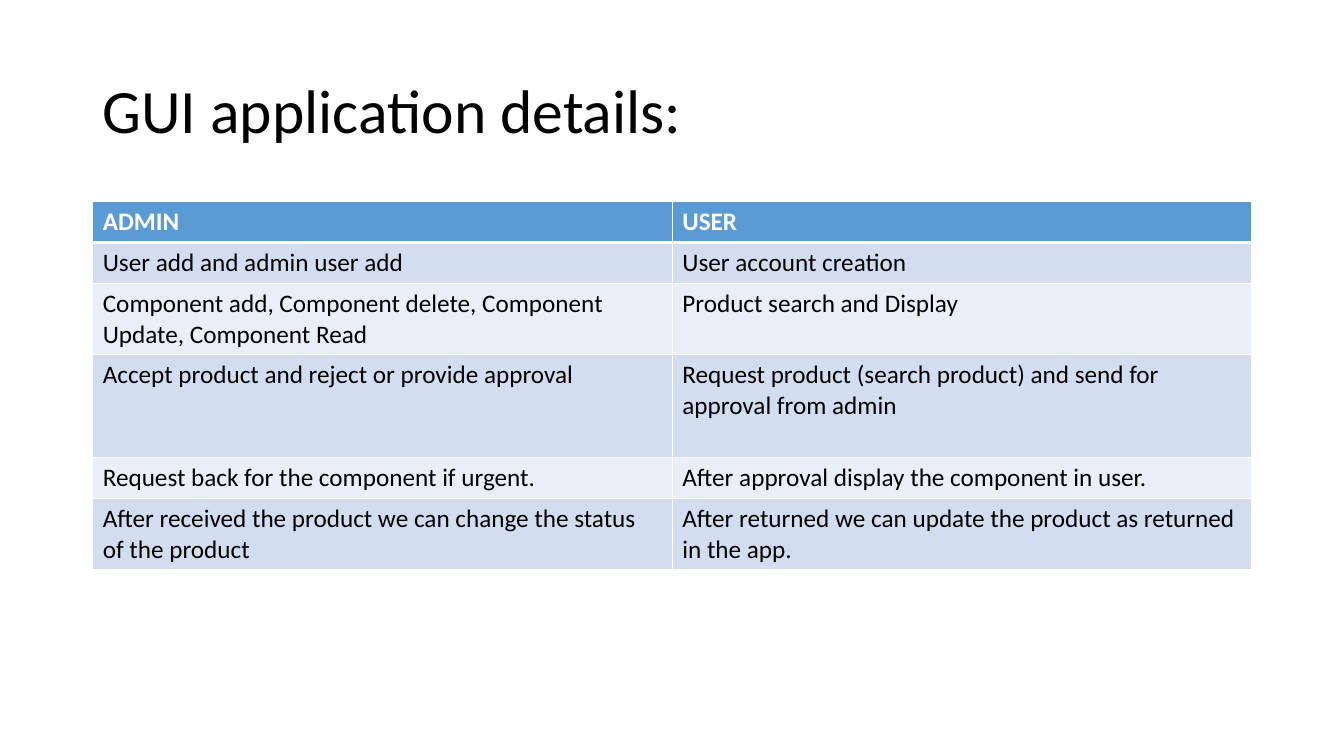
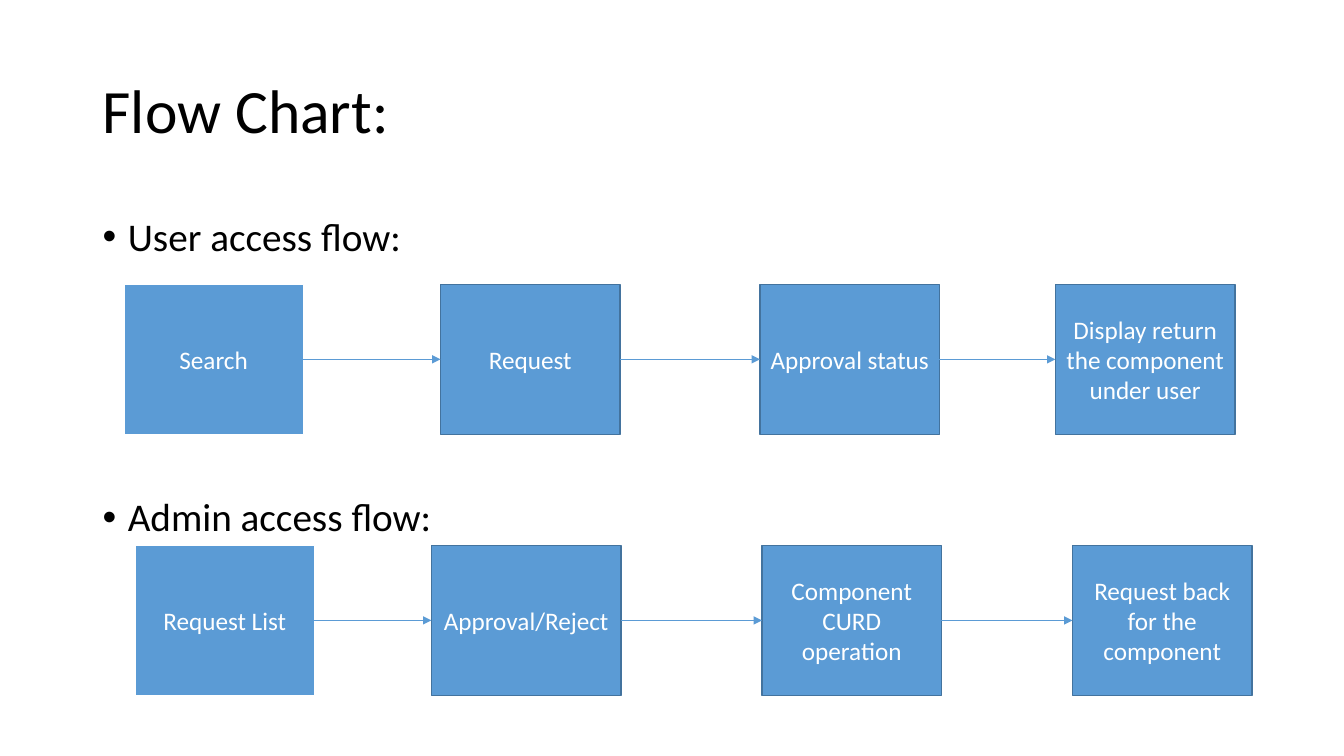
from lxml.etree import SubElement
from pptx import Presentation
from pptx.dml.color import RGBColor
from pptx.enum.shapes import MSO_CONNECTOR as Connector, MSO_SHAPE as Preset
from pptx.enum.text import MSO_ANCHOR as Anchor, PP_ALIGN as Align
from pptx.oxml.ns import qn
from pptx.util import Inches, Pt

COLORS = {
    "text": "000000",
    "white": "FFFFFF",
    "blue": "5B9BD5",
    "outline": "43739E",
    "band_dark": "D2DEEF",
    "band_light": "EAEFF7",
}
FONT = "Calibri"

# Positions are on a grid of 100 columns by 100 rows.
LEFT, WIDTH = 6.9, 86.25
BOX_WIDTH, BOX_HEIGHT = 13.35, 19.87


def rgb(name):
    """Return the named colour."""
    return RGBColor.from_string(COLORS[name])


def write(paragraph, text, size=18, color="text", bold=False,
          align=Align.LEFT, line_spacing=None, before=None):
    """Put formatted text into a paragraph."""
    run = paragraph.add_run()
    run.text = text
    run.font.name = FONT
    run.font.size = Pt(size)
    run.font.bold = bold
    run.font.color.rgb = rgb(color)
    paragraph.alignment = align
    if line_spacing is not None:
        paragraph.line_spacing = line_spacing
    if before is not None:
        paragraph.space_before = Pt(before)


def add_bullet(paragraph, indent=0.25):
    """Give a paragraph a round bullet with a hanging indent."""
    properties = paragraph._p.get_or_add_pPr()
    properties.set("marL", str(Inches(indent)))
    properties.set("indent", str(-Inches(indent)))
    SubElement(properties, qn("a:buFont"), typeface="Arial")
    SubElement(properties, qn("a:buChar"), char="\u2022")


def add_borders(cell_properties, widths):
    """Draw white cell borders; widths are for left, right, top, bottom."""
    for index, (side, width) in enumerate(zip("LRTB", widths)):
        line = SubElement(cell_properties, qn(f"a:ln{side}"), w=str(Pt(width)))
        fill = SubElement(line, qn("a:solidFill"))
        SubElement(fill, qn("a:srgbClr"), val=COLORS["white"])
        cell_properties.insert(index, line)


class Deck:
    """Holds the presentation, its grid and the current slide."""

    def __init__(self):
        """Start an empty wide presentation."""
        self.presentation = Presentation()
        self.presentation.slide_width = Inches(13.333)
        self.presentation.slide_height = Inches(7.5)
        self.slide = None

    def columns(self, count):
        """Convert grid columns to a length."""
        return round(self.presentation.slide_width * count / 100)

    def rows(self, count):
        """Convert grid rows to a length."""
        return round(self.presentation.slide_height * count / 100)

    def area(self, left, top, width, height):
        """Convert a grid rectangle to lengths."""
        return (self.columns(left), self.rows(top),
                self.columns(width), self.rows(height))

    def add_slide(self, title):
        """Add a blank slide with the shared title style."""
        layout = self.presentation.slide_layouts[6]
        self.slide = self.presentation.slides.add_slide(layout)
        frame = self.text_frame(LEFT, 5.33, WIDTH, 19.33)
        frame.vertical_anchor = Anchor.MIDDLE
        write(frame.paragraphs[0], title, size=44, line_spacing=0.9)

    def text_frame(self, *grid_area):
        """Add a wrapping text box and return its text frame."""
        box = self.slide.shapes.add_textbox(*self.area(*grid_area))
        box.text_frame.word_wrap = True
        return box.text_frame

    def bullets(self, items, top, height, gap):
        """Add bulleted headings, with a gap in points between them."""
        frame = self.text_frame(LEFT, top, WIDTH, height)
        for index, item in enumerate(items):
            paragraph = frame.add_paragraph() if index else frame.paragraphs[0]
            write(paragraph, item, size=28, line_spacing=0.9,
                  before=gap if index else 10)
            add_bullet(paragraph)

    def table(self, records, top, heights):
        """Add a banded table whose first record is the header."""
        frame = self.slide.shapes.add_table(
            len(records), len(records[0]),
            *self.area(LEFT, top, WIDTH, sum(heights)))
        table = frame.table
        for index, (record, height) in enumerate(zip(records, heights)):
            table.rows[index].height = self.rows(height)
            header = index == 0
            band = "band_dark" if index % 2 else "band_light"
            for cell, text in zip(table.rows[index].cells, record):
                cell.fill.solid()
                cell.fill.fore_color.rgb = rgb("blue" if header else band)
                write(cell.text_frame.paragraphs[0], text, bold=header,
                      color="white" if header else "text")
        for index, properties in enumerate(frame.element.iter(qn("a:tcPr"))):
            row = index // len(records[0])
            add_borders(properties, (1, 1, 3 if row == 1 else 1,
                                     3 if row == 0 else 1))

    def box(self, text, left, top, width=BOX_WIDTH, outline="outline"):
        """Add one step of a flow."""
        shape = self.slide.shapes.add_shape(
            Preset.RECTANGLE, *self.area(left, top, width, BOX_HEIGHT))
        shape.shadow.inherit = False
        shape.fill.solid()
        shape.fill.fore_color.rgb = rgb("blue")
        shape.line.color.rgb = rgb(outline)
        shape.line.width = Pt(1)
        shape.text_frame.word_wrap = True
        shape.text_frame.vertical_anchor = Anchor.MIDDLE
        write(shape.text_frame.paragraphs[0], text, color="white",
              align=Align.CENTER)
        return shape

    def arrow(self, start, end):
        """Join the right side of one box to the left side of the next."""
        connector = self.slide.shapes.add_connector(
            Connector.STRAIGHT, 0, 0, 0, 0)
        connector.begin_connect(start, 3)
        connector.end_connect(end, 1)
        connector.line.color.rgb = rgb("blue")
        connector.line.width = Pt(0.5)
        properties = connector.element.spPr
        SubElement(properties.find(qn("a:ln")), qn("a:tailEnd"),
                   type="triangle")
        SubElement(properties, qn("a:effectLst"))

    def flow(self, top, steps):
        """Add a row of boxes joined by arrows; the first has a white edge."""
        boxes = [
            self.box(*step[:2], top, *step[2:],
                     outline="outline" if index else "white")
            for index, step in enumerate(steps)
        ]
        for start, end in zip(boxes, boxes[1:]):
            self.arrow(start, end)


def build_details(deck):
    """Build the table of admin and user features."""
    deck.add_slide("GUI application details:")
    one_line, two_lines, three_lines = 5.4, 9.47, 13.6
    deck.table(
        [
            ("ADMIN", "USER"),
            ("User add and admin user add", "User account creation"),
            ("Component add, Component delete, Component Update, "
             "Component Read", "Product search and Display"),
            ("Accept product and reject or provide approval",
             "Request product (search product) and send for approval "
             "from admin"),
            ("Request back for the component if urgent.",
             "After approval display the component in user."),
            ("After received the product we can change the status of "
             "the product",
             "After returned we can update the product as returned in "
             "the app."),
        ],
        top=26.67,
        heights=(one_line, one_line, two_lines, three_lines, one_line,
                 two_lines))


def build_flow_chart(deck):
    """Build the user and admin flows."""
    deck.add_slide("Flow Chart:")
    deck.bullets(("User access flow:", "Admin access flow:"),
                 top=28.13, height=63.47, gap=170)
    deck.flow(37.6, (
        ("Search", 9.22),
        ("Request", 32.78),
        ("Approval status", 56.55),
        ("Display return the component under user", 78.53),
    ))
    deck.flow(72.13, (
        ("Request List", 10.05),
        ("Approval/Reject", 32.1, 14.1),
        ("Component CURD operation", 56.7),
        ("Request back for the component", 79.8),
    ))


def main():
    """Build and save the presentation."""
    deck = Deck()
    build_details(deck)
    build_flow_chart(deck)
    deck.presentation.save("out.pptx")


main()
